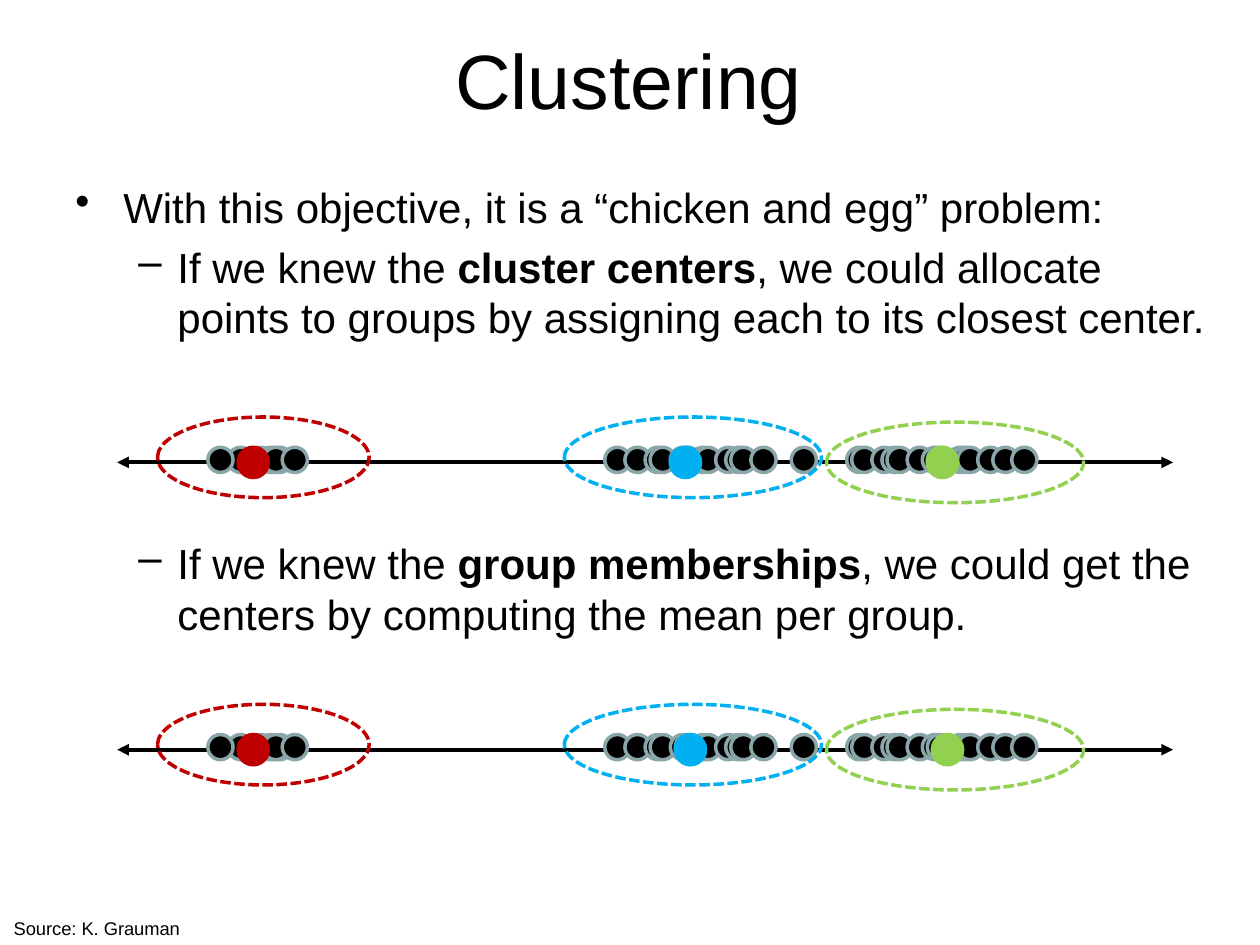
from dataclasses import dataclass

import pptx
import pptx.dml.color
import pptx.enum.dml
import pptx.enum.shapes
import pptx.enum.text
import pptx.oxml.ns
import pptx.util
from lxml import etree

RGBColor = pptx.dml.color.RGBColor
Pt = pptx.util.Pt
ALIGN = pptx.enum.text.PP_ALIGN
ANCHOR = pptx.enum.text.MSO_ANCHOR

PX = 9144  # EMU per px, 100 px to the inch
BLACK = RGBColor(0x00, 0x00, 0x00)
GREY = RGBColor(0x8A, 0xA6, 0xA8)
RED = RGBColor(0xC0, 0x00, 0x00)
BLUE = RGBColor(0x00, 0xB0, 0xF0)
GREEN = RGBColor(0x92, 0xD0, 0x50)

AXIS_LEFT, AXIS_RIGHT, AXIS_DROP = 93, 931, 12
POINT_SIZE, CENTER_SIZE = 20, 24
OUTLINE_HEIGHT = 64
POINT_LEFTS = (
    181, 197, 165, 212, 480, 496, 512, 516, 532, 536, 205, 209, 224,
    672, 676, 692, 700, 704, 720, 548, 552, 568, 576, 580, 596, 628,
    732, 736, 752, 756, 760, 776, 788, 803,
)


@dataclass(frozen=True)
class Cluster:
    color: RGBColor
    left: int
    width: int
    rise: int  # outline top above the points' top


@dataclass(frozen=True)
class NumberLine:
    top: int
    center_lefts: tuple[int, ...]


@dataclass(frozen=True)
class Bullet:
    level: int
    char: str
    margin: int
    hanging: int
    before: float
    runs: tuple[tuple[str, bool], ...]


CLUSTERS = (
    Cluster(RED, 125, 168, 24),
    Cluster(BLUE, 448, 204, 24),
    Cluster(GREEN, 656, 204, 20),
)
NUMBER_LINES = (
    NumberLine(355, (189, 532, 736)),
    NumberLine(583, (189, 536, 740)),
)
BULLETS = (
    Bullet(0, "•", 38, 38, 0, (
        ("With this objective, it is a “chicken and egg” problem:", False),)),
    Bullet(1, "–", 81, 31, 5.5, (
        ("If we knew the ", False),
        ("cluster centers", True),
        (", we could allocate points to groups by assigning each "
         "to its closest center.", False))),
    Bullet(1, "–", 81, 31, 111.7, (
        ("If we knew the ", False),
        ("group memberships", True),
        (", we could get the centers by computing the mean per group.", False))),
)


def add_text_frame(slide, left: int, top: int, width: int, height: int, anchor):
    s = slide.shapes.add_textbox(left * PX, top * PX, width * PX, height * PX)
    tf = s.text_frame
    for name, value in {"word_wrap": True, "vertical_anchor": anchor}.items():
        setattr(tf, name, value)
    return tf


def add_run(p, text: str, size: float, bold: bool = False) -> None:
    r = p.add_run()
    r.text = text
    for name, value in {"name": "Arial", "size": Pt(size), "bold": bold}.items():
        setattr(r.font, name, value)
    r.font.color.rgb = BLACK


def add_bullet(p, bullet: Bullet) -> None:
    pPr = p._p.get_or_add_pPr()
    pPr.set("marL", str(bullet.margin * PX))
    pPr.set("indent", str(-bullet.hanging * PX))
    etree.SubElement(pPr, pptx.oxml.ns.qn("a:buChar")).set("char", bullet.char)
    formats = {"level": bullet.level, "space_before": Pt(bullet.before)}
    for name, value in formats.items():
        setattr(p, name, value)
    for text, bold in bullet.runs:
        add_run(p, text, 24, bold)


def add_ellipse(shapes, left: int, top: int, width: int, height: int,
                line: RGBColor, fill: RGBColor | None = None):
    s = shapes.add_shape(pptx.enum.shapes.MSO_SHAPE.OVAL,
                         left * PX, top * PX, width * PX, height * PX)
    s.shadow.inherit = False
    if fill is None:
        s.fill.background()
    else:
        s.fill.solid()
        s.fill.fore_color.rgb = fill
    s.line.color.rgb = line
    s.line.width = Pt(2)
    return s


def add_axis(shapes, y: int) -> None:
    s = shapes.add_connector(pptx.enum.shapes.MSO_CONNECTOR.STRAIGHT,
                             AXIS_LEFT * PX, y * PX, AXIS_RIGHT * PX, y * PX)
    s.line.color.rgb = BLACK
    s.line.width = Pt(2.25)
    ln = s.line._get_or_add_ln()
    for end in ("a:headEnd", "a:tailEnd"):
        etree.SubElement(ln, pptx.oxml.ns.qn(end)).set("type", "triangle")
    etree.SubElement(s._element.spPr, pptx.oxml.ns.qn("a:effectLst"))


def add_number_line(slide, row: NumberLine) -> None:
    # Axis with its data points
    group = slide.shapes.add_group_shape()
    add_axis(group.shapes, row.top + AXIS_DROP)
    for left in POINT_LEFTS:
        add_ellipse(group.shapes, left, row.top, POINT_SIZE, POINT_SIZE, GREY, BLACK)

    # Cluster centers and outlines
    for cluster, left in zip(CLUSTERS, row.center_lefts):
        add_ellipse(slide.shapes, left, row.top, CENTER_SIZE, CENTER_SIZE,
                    cluster.color, cluster.color)
        outline = add_ellipse(slide.shapes, cluster.left, row.top - cluster.rise,
                              cluster.width, OUTLINE_HEIGHT, cluster.color)
        outline.line.dash_style = pptx.enum.dml.MSO_LINE.SQUARE_DOT


def main() -> None:
    prs = pptx.Presentation()
    prs.slide_width, prs.slide_height = 1000 * PX, 750 * PX
    slide = prs.slides.add_slide(prs.slide_layouts[6])

    # Title
    p = add_text_frame(slide, 49, 0, 900, 125, ANCHOR.MIDDLE).paragraphs[0]
    p.alignment = ALIGN.CENTER
    add_run(p, "Clustering", 44)

    # Bullets
    tf = add_text_frame(slide, 50, 139, 921, 495, ANCHOR.TOP)
    for i, bullet in enumerate(BULLETS):
        add_bullet(tf.add_paragraph() if i else tf.paragraphs[0], bullet)

    # Number lines
    for row in NUMBER_LINES:
        add_number_line(slide, row)

    # Source
    tf = add_text_frame(slide, 1, 723, 281, 28, ANCHOR.TOP)
    add_run(tf.paragraphs[0], "Source: K. Grauman", 10.5)

    prs.save("out.pptx")


if __name__ == "__main__":
    main()
